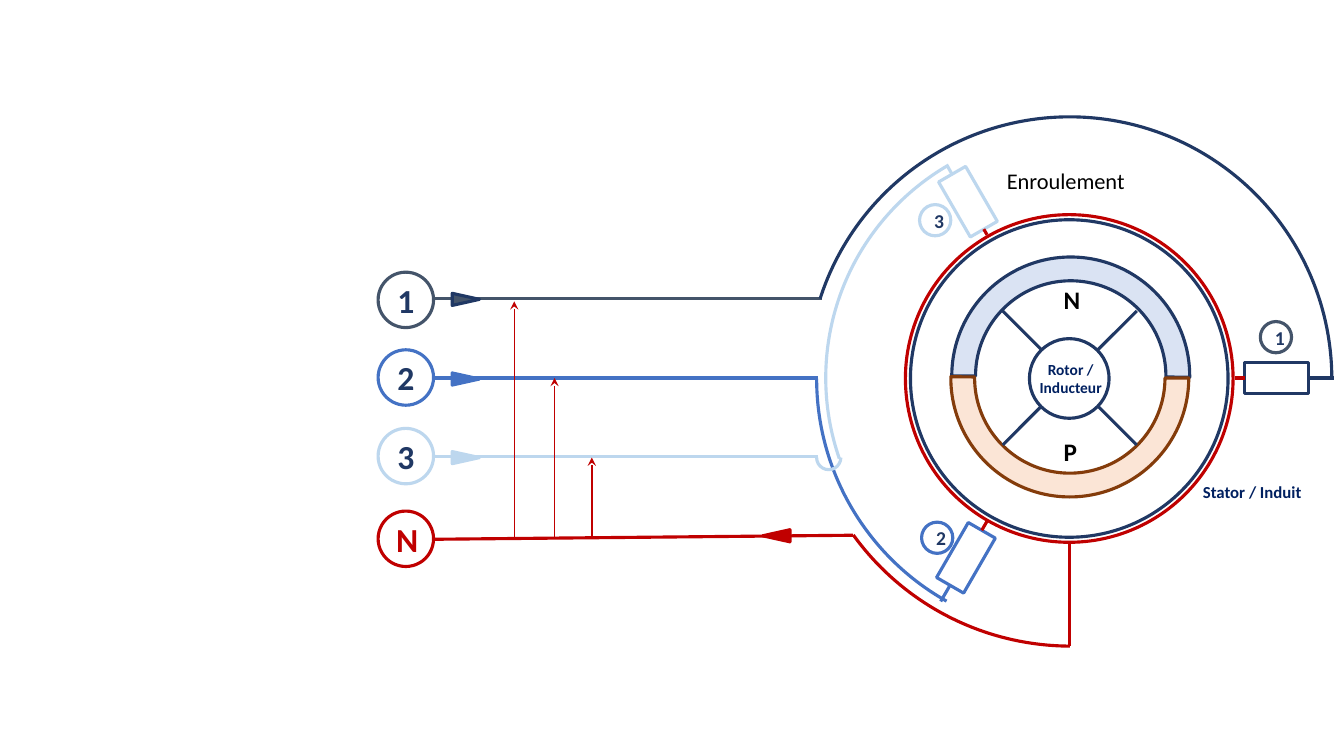
from math import cos, radians, sin

from lxml.etree import SubElement
from pptx import Presentation
from pptx.dml.color import RGBColor
from pptx.enum.shapes import MSO_CONNECTOR as Link, MSO_SHAPE as Kind
from pptx.enum.text import MSO_ANCHOR as Anchor, PP_ALIGN as Align
from pptx.oxml.ns import qn
from pptx.util import Inches, Pt

CELL = 0.1
CENTRE_X, CENTRE_Y = 106.1, 37.5
NAVY, SLATE, BLUE, PALE, RED = "203864", "44546A", "4472C4", "BDD7EE", "C00000"
INK, LABEL = "000000", "002060"


def grid(cells):
    """Turn a number of grid cells into a length."""
    return Inches(cells * CELL)


def colour(value):
    """Turn a hex string into a colour."""
    return RGBColor.from_string(value)


def polar(radius, angle):
    """Give the point at a radius and clockwise angle from the machine's centre."""
    return (CENTRE_X + radius * cos(radians(angle)),
            CENTRE_Y + radius * sin(radians(angle)))


def write(frame, text, size=12, tint=NAVY, bold=True, wrap=True, align=Align.CENTER,
          anchor=Anchor.TOP):
    """Write text into a frame, one paragraph for each line."""
    frame.word_wrap = wrap
    frame.vertical_anchor = anchor
    for index, words in enumerate(text.split("\n")):
        paragraph = frame.paragraphs[0] if index == 0 else frame.add_paragraph()
        paragraph.alignment = align
        run = paragraph.add_run()
        run.text = words
        run.font.name = "Calibri"
        run.font.size = Pt(size)
        run.font.bold = bold
        run.font.color.rgb = colour(tint)


def caption(slide, text, left, top, width, height, **style):
    """Place a free label."""
    box = slide.shapes.add_textbox(*map(grid, (left, top, width, height)))
    write(box.text_frame, text, **style)


def part(slide, kind, x, y, width, height, line, fill=None, turn=0, adjust=()):
    """Place a preset shape by its centre."""
    shape = slide.shapes.add_shape(
        kind, grid(x - width / 2), grid(y - height / 2), grid(width), grid(height))
    shape.shadow.inherit = False
    shape.rotation = turn
    shape.line.color.rgb = colour(line)
    shape.line.width = Pt(2.25)
    if fill:
        shape.fill.solid()
        shape.fill.fore_color.rgb = colour(fill)
    else:
        shape.fill.background()
    for index, value in enumerate(adjust):
        shape.adjustments[index] = value
    return shape


def circle(slide, x, y, diameter, line, text="", **style):
    """Draw a ring, with a label if there is one."""
    ring = part(slide, Kind.OVAL, x, y, diameter, diameter, line)
    if text:
        write(ring.text_frame, text, anchor=Anchor.MIDDLE, **style)


def arc(slide, x, y, diameter, start, end, line):
    """Draw a circular arc clockwise between two angles in degrees."""
    part(slide, Kind.ARC, x, y, diameter, diameter, line,
         adjust=(start * 0.6, end * 0.6))


def wire(slide, start, end, line, width=2.25, arrow=False):
    """Draw a straight conductor, or a thin arrow."""
    link = slide.shapes.add_connector(Link.STRAIGHT, *map(grid, (*start, *end)))
    link.line.color.rgb = colour(line)
    link.line.width = Pt(width)
    properties = link._element.spPr
    if arrow:
        SubElement(properties.find(qn("a:ln")), qn("a:tailEnd"), type="stealth")
    SubElement(properties, qn("a:effectLst"))
    return link


def coil(slide, angle, radius, lead_end, line):
    """Draw a winding on a ray from the centre, with its inner and outer leads."""
    winding = part(slide, Kind.RECTANGLE, *polar(radius, angle), 6.3, 3.1, line,
                   fill="FFFFFF", turn=angle)
    leads = ((1, radius - 3.15, 16.4, RED), (3, radius + 3.15, lead_end, line))
    for side, edge, far, tint in leads:
        x, y = polar(edge, angle)
        lead = wire(slide, (x, y), polar(far, angle), tint)
        lead.begin_connect(winding, side)
        lead.begin_x, lead.begin_y = grid(x), grid(y)


def supply(slide):
    """Draw the terminals, their conductors and the voltage arrows."""
    phases = (("1", 29.75, 29.6, 81.5, SLATE, NAVY),
              ("2", 37.45, 37.5, 81.1, BLUE, BLUE),
              ("3", 45.25, 45.3, 81.1, PALE, PALE))
    for name, middle, level, end, tint, edge in phases:
        wire(slide, (43, level), (end, level), tint)
        circle(slide, 40.25, middle, 5.5, tint, name, size=24)
        part(slide, Kind.ISOSCELES_TRIANGLE, 46.2, level + 0.1, 1.2, 2.7, edge,
             fill=tint, turn=90)
    wire(slide, (43, 53.5), (84.6, 53.1), RED)
    circle(slide, 40.25, 53.45, 5.5, RED, "N", size=24, tint=RED)
    part(slide, Kind.ISOSCELES_TRIANGLE, 77, 53.15, 1.2, 2.7, RED, fill=RED, turn=270)
    for x, foot, tip in ((51, 53.5, 29.9), (55, 53.3, 37.5), (58.7, 53.3, 45.4)):
        wire(slide, (x, foot), (x, tip), RED, width=1, arrow=True)


def stator(slide):
    """Draw the stator rings, the windings and the conductors around them."""
    circle(slide, 106.05, 37.55, 31.5, NAVY)
    circle(slide, 106.05, 37.55, 32.5, RED)
    coil(slide, 240, 20.2, 24.3, PALE)
    coil(slide, 120, 20.6, 25.6, BLUE)
    coil(slide, 0, 20.5, 26.2, NAVY)
    arc(slide, 106.1, 37.6, 52, 197.85, 359.38, NAVY)
    arc(slide, 106.3, 37.5, 48.8, 160.88, 239.97, PALE)
    arc(slide, 106.3, 37.6, 50.6, 119.38, 180.06, BLUE)
    arc(slide, 82.2, 45.4, 2.4, 359.94, 182.92, PALE)
    arc(slide, 106.2, 37.5, 53.2, 90.19, 144.18, RED)
    wire(slide, (CENTRE_X, 64.1), (CENTRE_X, 53.8), RED)
    for name, x, y, tint in (("1", 126.55, 33.45, SLATE), ("2", 92.95, 53.35, BLUE),
                             ("3", 92.75, 21.85, PALE)):
        circle(slide, x, y, 3.1, tint, name, size=14)


def rotor(slide):
    """Draw the two poles, the hub and its spokes."""
    poles = ((106.2, 37.3, "DAE3F3", NAVY, 0), (106.1, 37.5, "FBE5D6", "843C0B", 180))
    for x, y, fill, line, turn in poles:
        part(slide, Kind.BLOCK_ARC, x, y, 23.6, 23.6, line, fill=fill, turn=turn,
             adjust=(108, 0.38, 0.1))
    circle(slide, 106.05, 37.55, 7.9, NAVY)
    for angle in range(45, 360, 90):
        wire(slide, polar(3.9, angle), polar(9.4, angle), NAVY)


def main():
    """Build the slide and save it."""
    deck = Presentation()
    deck.slide_width, deck.slide_height = Inches(13.33), Inches(7.5)
    slide = deck.slides.add_slide(deck.slide_layouts[6])
    supply(slide)
    stator(slide)
    rotor(slide)
    for pole, top in (("N", 27.7), ("P", 42.8)):
        caption(slide, pole, 104.5, top, 3.5, 4, size=18, tint=INK, wrap=False,
                align=Align.LEFT)
    caption(slide, "Enroulement", 96.5, 16.1, 18.4, 3.7, size=16, tint=INK, bold=False)
    caption(slide, "Stator / Induit", 115, 47.3, 18.4, 3, tint=LABEL)
    caption(slide, "Rotor /\nInducteur", 97, 35.2, 18.4, 4.7, size=11, tint=LABEL)
    deck.save("out.pptx")


if __name__ == "__main__":
    main()
